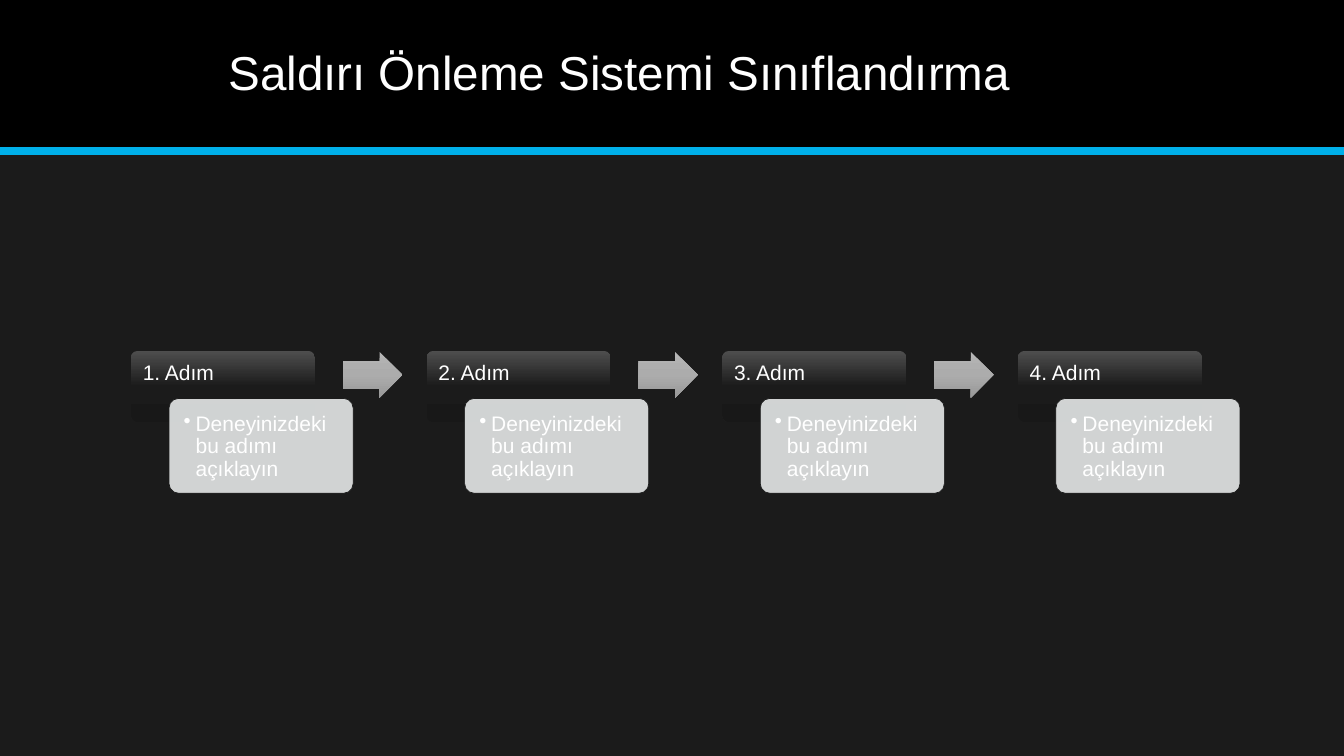
from copy import deepcopy

from lxml import etree
from pptx import Presentation
from pptx.dml.color import RGBColor
from pptx.enum.shapes import MSO_CONNECTOR, MSO_SHAPE
from pptx.enum.text import MSO_ANCHOR
from pptx.oxml.ns import qn
from pptx.util import Cm, Pt

RECT = MSO_SHAPE.RECTANGLE
ROUNDED = MSO_SHAPE.ROUNDED_RECTANGLE
ARROW = MSO_SHAPE.RIGHT_ARROW
STRAIGHT = MSO_CONNECTOR.STRAIGHT
TOP, MIDDLE = MSO_ANCHOR.TOP, MSO_ANCHOR.MIDDLE

COLORS = {
    "background": "1B1B1B", "band": "000000", "accent": "00B0EA",
    "text": "FFFFFF", "card": "E5E8E8", "card_edge": "1B1B1B",
    "label_top": "4E4E4E", "label_mid": "1B1B1B", "label_end": "181818",
    "arrow_top": "B5B5B5", "arrow_mid": "ACACAC", "arrow_end": "999999",
}
FONT = "Arial"
SLIDE_W, SLIDE_H = 33.87, 19.05
STEPS = ["1. Adım", "2. Adım", "3. Adım", "4. Adım"]
DESCRIPTION = "Deneyinizdeki bu adımı\vaçıklayın"


def color(name):
    """Return a named colour."""
    return RGBColor.from_string(COLORS[name])


def add_block(shapes, kind, box, fill=None, adjustments=()):
    """Add a preset shape without line or shadow; box is in cm."""
    block = shapes.add_shape(kind, *map(Cm, box))
    block.shadow.inherit = False
    block.line.fill.background()
    if fill:
        block.fill.solid()
        block.fill.fore_color.rgb = color(fill)
    for index, value in enumerate(adjustments):
        block.adjustments[index] = value
    return block


def shade_down(block, part):
    """Fill a block from top to bottom with the three colours of a part."""
    block.fill.gradient()
    block.fill.gradient_angle = 270
    stops = block._element.spPr.find(qn("a:gradFill")).find(qn("a:gsLst"))
    for stop in list(stops):
        stops.remove(stop)
    for position, level in ((0, "top"), (50000, "mid"), (100000, "end")):
        stop = etree.SubElement(stops, qn("a:gs"), pos=str(position))
        etree.SubElement(stop, qn("a:srgbClr"), val=COLORS[f"{part}_{level}"])


def add_text(shapes, text, box, size=15, insets=(0.3, 0.3, 0.3, 0.3),
             anchor=TOP, space_after=0, bullet=False):
    """Add a wrapped text box; box and insets are in cm."""
    frame = shapes.add_textbox(*map(Cm, box)).text_frame
    frame.word_wrap = True
    frame.vertical_anchor = anchor
    (frame.margin_left, frame.margin_top,
     frame.margin_right, frame.margin_bottom) = map(Cm, insets)
    paragraph = frame.paragraphs[0]
    paragraph.text = text
    paragraph.line_spacing = 0.9
    paragraph.space_after = Pt(space_after)
    for run in paragraph.runs:
        run.font.name = FONT
        run.font.size = Pt(size)
        run.font.color.rgb = color("text")
    for line_break in paragraph._p.findall(qn("a:br")):
        line_break.append(deepcopy(paragraph.runs[0]._r.rPr))
    if bullet:
        properties = paragraph._p.get_or_add_pPr()
        paragraph.level = 1
        properties.set("marL", str(Cm(0.3)))
        properties.set("indent", str(-Cm(0.3)))
        etree.SubElement(properties, qn("a:buChar"), char="•")


def add_header(slide, left, top, width, height):
    """Draw the title band, its accent rule and the title."""
    add_block(slide.shapes, RECT, (left, top, width, height), "band")
    bottom = top + height
    rule = slide.shapes.add_connector(
        STRAIGHT, Cm(left), Cm(bottom), Cm(left + width), Cm(bottom))
    rule.line.color.rgb = color("accent")
    rule.line.width = Pt(6)
    etree.SubElement(rule._element.spPr, qn("a:effectLst"))
    add_text(slide.shapes, "Saldırı Önleme Sistemi Sınıflandırma",
             (left + 2.97, top + 0.36, 27.94, 3.05), size=34,
             insets=(2.79, 0.13, 0.25, 0.13), anchor=MIDDLE)


def add_step(shapes, label, left, top, width):
    """Draw a step label with its description card below and to the right."""
    header = add_block(shapes, ROUNDED, (left, top, width, 1.8),
                       adjustments=[0.1])
    shade_down(header, "label")
    add_text(shapes, label, (left, top, width, 1.2),
             insets=(0.3, 0.3, 0.3, 0.15), space_after=5.25)

    card_left, card_top, card_height, pad = left + 0.96, top + 1.2, 2.39, 0.07
    card = add_block(shapes, ROUNDED, (card_left, card_top, width, card_height),
                     "card", [0.1])
    tint = card._element.spPr.find(qn("a:solidFill"))[0]
    etree.SubElement(tint, qn("a:alpha"), val="90000")
    card.line.color.rgb = color("card_edge")
    card.line.width = Pt(0.5)
    add_text(shapes, DESCRIPTION,
             (card_left + pad, card_top + pad,
              width - 2 * pad, card_height - 2 * pad),
             space_after=2.25, bullet=True)


def add_process(slide, left, top, step_width, pitch):
    """Draw the row of steps, with an arrow between neighbours."""
    shapes = slide.shapes.add_group_shape().shapes
    for index, label in enumerate(STEPS):
        step_left = left + index * pitch
        add_step(shapes, label, step_left, top, step_width)
        if index < len(STEPS) - 1:
            arrow = add_block(shapes, ARROW,
                              (step_left + 5.34, top + 0.03, 1.5, 1.15),
                              adjustments=[0.6, 0.5])
            shade_down(arrow, "arrow")


def main():
    """Build and save the slide."""
    deck = Presentation()
    deck.slide_width, deck.slide_height = Cm(SLIDE_W), Cm(SLIDE_H)
    slide = deck.slides.add_slide(deck.slide_layouts[6])
    slide.background.fill.solid()
    slide.background.fill.fore_color.rgb = color("background")
    add_header(slide, 0, 0, SLIDE_W, 3.81)
    add_process(slide, left=3.3, top=8.84, step_width=4.64, pitch=7.45)
    deck.save("out.pptx")


main()
